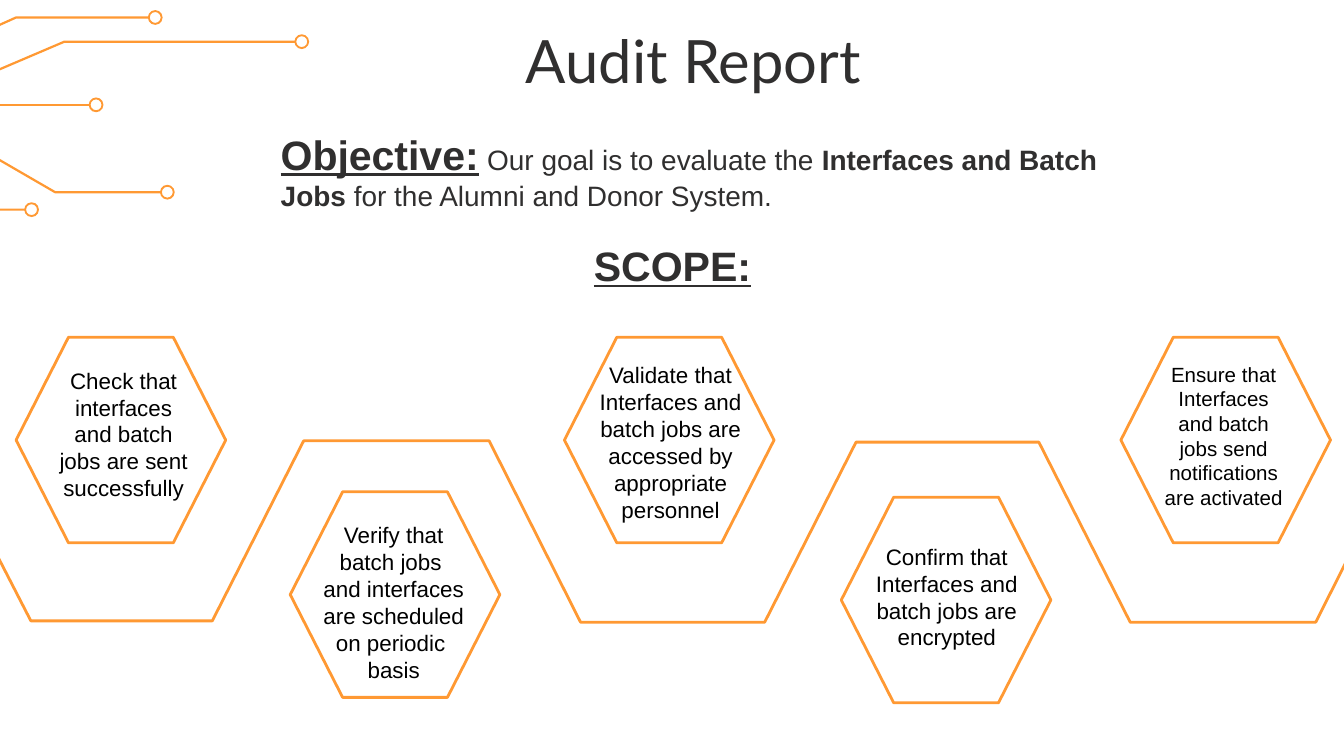
from dataclasses import dataclass

from lxml import etree
from pptx import Presentation
from pptx.dml.color import RGBColor
from pptx.enum.shapes import MSO_CONNECTOR as CONN, MSO_SHAPE as SHAPE
from pptx.enum.text import MSO_ANCHOR as ANCHOR, PP_ALIGN as ALIGN
from pptx.oxml.ns import qn
from pptx.util import Inches, Pt


@dataclass(frozen=True)
class Theme:
    orange: RGBColor = RGBColor(0xFF, 0x99, 0x33)
    dark: RGBColor = RGBColor(0x30, 0x2F, 0x2F)
    black: RGBColor = RGBColor(0, 0, 0)
    title_font: str = "Lato"
    body_font: str = "Arial"
    title: int = 32
    heading: int = 22
    gap: int = 16
    body: int = 15
    step: int = 12
    small: int = 11
    trace: float = 1.2
    outline: float = 1.5


T = Theme()


def emu(*values):
    return [Inches(v) for v in values]


def add_text(s, box, paragraphs, size=T.step, font=T.body_font, color=T.black,
             align=ALIGN.CENTER):
    """Each paragraph is a list of (text, format) runs."""
    tf = s.shapes.add_textbox(*emu(*box)).text_frame
    tf.word_wrap = True
    tf.vertical_anchor = ANCHOR.TOP
    tf.margin_left = tf.margin_right = Inches(0.1)
    tf.margin_top = tf.margin_bottom = Inches(0.1)
    for i, runs in enumerate(paragraphs):
        p = tf.add_paragraph() if i else tf.paragraphs[0]
        p.alignment = align
        for text, fmt in runs:
            r = p.add_run()
            r.text = text
            r.font.name = font
            r.font.size = Pt(fmt.get("size", size))
            r.font.bold = fmt.get("bold", False)
            r.font.underline = fmt.get("underline", False)
            r.font.color.rgb = color


def add_path(s, points, width):
    """Draw an open orange line through the points."""
    pts = [tuple(emu(*pt)) for pt in points]
    if len(pts) == 2:
        line = s.shapes.add_connector(CONN.STRAIGHT, *pts[0], *pts[1])
        etree.SubElement(line._element.spPr, qn("a:effectLst"))
    else:
        builder = s.shapes.build_freeform(*pts[0], scale=1.0)
        builder.add_line_segments(pts[1:], close=False)
        line = builder.convert_to_shape()
        line.shadow.inherit = False
        line.fill.background()
    line.line.color.rgb = T.orange
    line.line.width = Pt(width)


def add_circuit(s, left, top):
    """Traces that enter from the left edge, each ending in a ring."""
    traces = [
        [(-2.15, 0.92), (-0.47, 0.92), (0.41, 1.43), (1.2, 1.43)],
        [(-2.69, 1.05), (-1.13, 1.05), (-0.25, 1.56), (0.19, 1.56)],
        [(-1.99, 0.78), (0.67, 0.78)],
        [(-1.74, 0.66), (-0.34, 0.66), (0.48, 0.31), (2.2, 0.31)],
        [(-2.1, 0.54), (-0.79, 0.54), (0.12, 0.13), (1.11, 0.13)],
    ]
    d = 0.11
    for trace in traces:
        points = [(left + x, top + y) for x, y in trace]
        add_path(s, points, T.trace)
        x, y = points[-1]
        ring = s.shapes.add_shape(SHAPE.DONUT, *emu(x - 0.01, y - d / 2, d, d))
        ring.adjustments[0] = 0.13
        ring.shadow.inherit = False
        ring.fill.solid()
        ring.fill.fore_color.rgb = T.orange
        ring.line.fill.background()


def add_header(s, left, top):
    """Title, objective and scope heading."""
    add_text(s, (left, top, 6.76, 0.63), [[("Audit Report", {})]],
             size=T.title, font=T.title_font, color=T.dark)
    heading = {"size": T.heading, "bold": True, "underline": True}
    objective = [
        ("Objective:", heading),
        (" ", {"size": T.gap}),
        ("Our goal is to evaluate the ", {}),
        ("Interfaces and Batch Jobs ", {"bold": True}),
        ("for the Alumni and Donor System.", {}),
    ]
    for box, runs in (((left + 0.21, top + 0.78, 6.39, 0.82), objective),
                      ((left + 2.54, top + 1.61, 3.28, 0.57), [("SCOPE:", heading)])):
        add_text(s, box, [runs], size=T.body, color=T.dark, align=ALIGN.LEFT)


def add_step(s, left, top, text_box, lines, size=T.step):
    """One hexagon; text_box is relative to its top left corner."""
    hexagon = s.shapes.add_shape(SHAPE.HEXAGON, *emu(left, top, 1.56, 1.53))
    hexagon.adjustments[0] = 0.255
    hexagon.shadow.inherit = False
    hexagon.fill.background()
    hexagon.line.color.rgb = T.orange
    hexagon.line.width = Pt(T.outline)
    dx, dy, w, h = text_box
    add_text(s, (left + dx, top + dy, w, h), [[(line, {})] for line in lines], size)


def add_scope(s, left, top):
    """Five hexagons and the zigzag line that runs around them."""
    zigzag = [(-0.58, 0.77), (0.11, 2.11), (1.46, 2.11), (2.14, 0.77),
              (3.52, 0.77), (4.2, 2.12), (5.57, 2.12), (6.25, 0.78),
              (7.61, 0.78), (8.29, 2.12), (9.67, 2.12), (10.28, 0.91)]
    add_path(s, [(left + x, top + y) for x, y in zigzag], T.outline)
    steps = [
        (0, 0, (0.19, 0.12, 1.22, 1.27),
         ["Check that interfaces and batch jobs are sent successfully"], T.step),
        (2.04, 1.15, (0.1, 0.12, 1.34, 1.46),
         ["Verify that batch jobs ",
          "and interfaces are scheduled on periodic ", "basis"], T.step),
        (4.08, 0, (0.12, 0.08, 1.34, 1.72),
         ["Validate that Interfaces and batch jobs are accessed by "
          "appropriate personnel"], T.step),
        (6.14, 1.19, (0.09, 0.24, 1.39, 1.01),
         ["Confirm that Interfaces and batch jobs are encrypted"], T.step),
        (8.22, 0, (0.19, 0.08, 1.15, 1.31),
         ["Ensure that Interfaces and batch jobs send notifications "
          "are activated"], T.small),
    ]
    for x, y, text_box, lines, size in steps:
        add_step(s, left + x, top + y, text_box, lines, size)


def main():
    prs = Presentation()
    prs.slide_width = Inches(10)
    prs.slide_height = Inches(10 * 9 / 16)
    s = prs.slides.add_slide(prs.slide_layouts[6])
    add_circuit(s, 0, 0)
    add_header(s, 1.78, 0.08)
    add_scope(s, 0.12, 2.51)
    prs.save("out.pptx")


if __name__ == "__main__":
    main()
